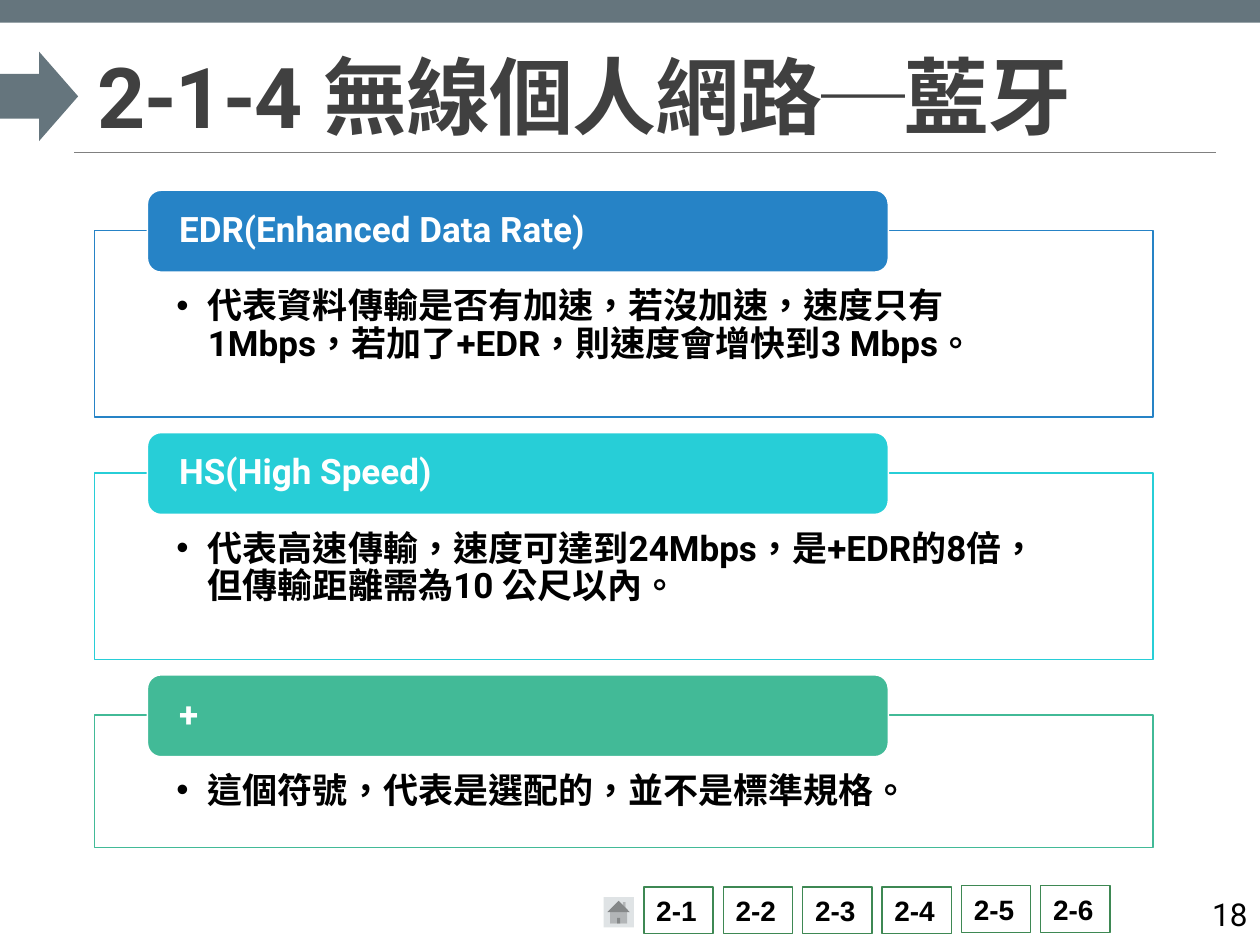
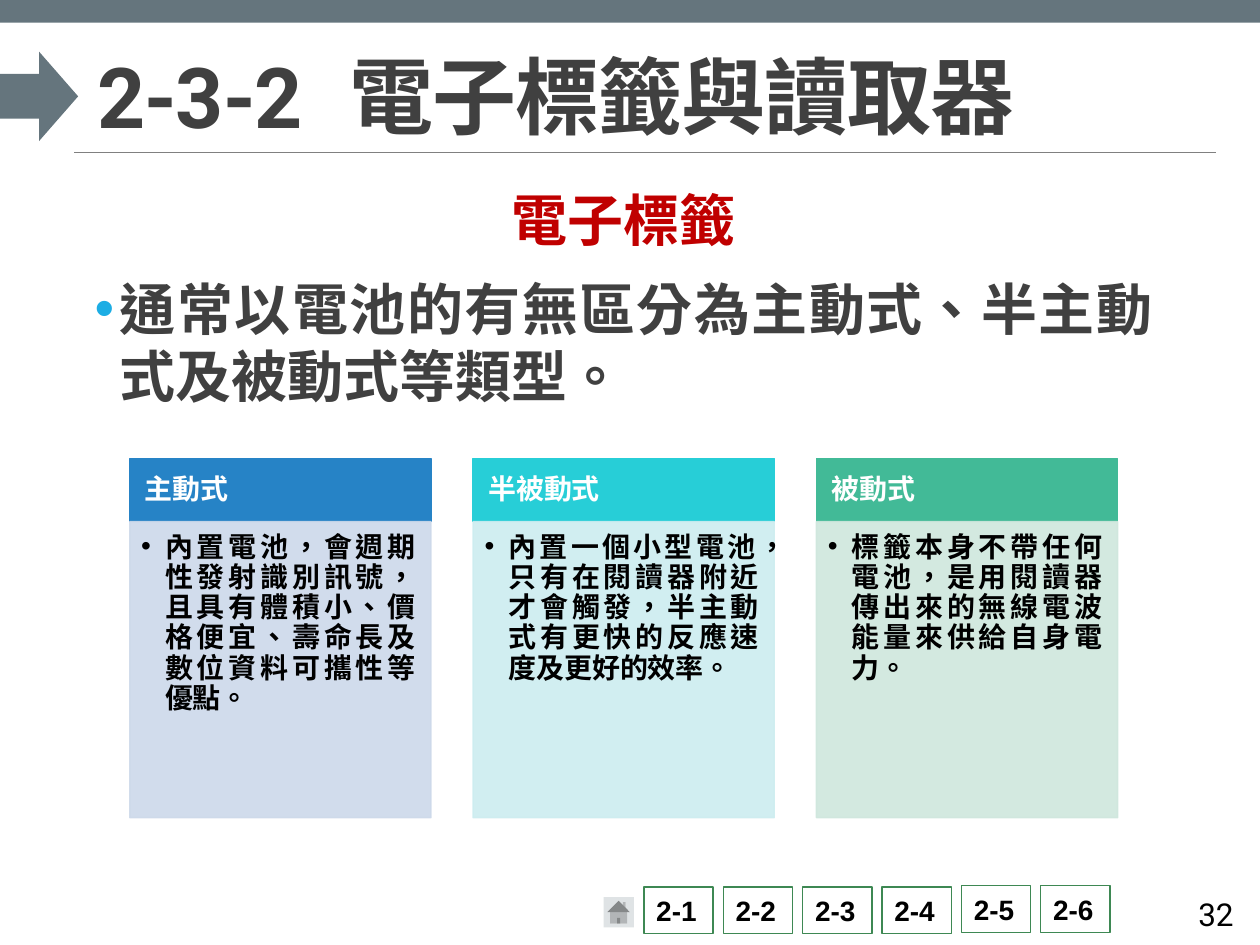
from dataclasses import dataclass, replace
from typing import Optional

from lxml import etree
from pptx import Presentation
from pptx import util as u
from pptx.dml.color import RGBColor
from pptx.enum import shapes, text
from pptx.oxml import ns

SLIDE_W, SLIDE_H = u.Inches(10), u.Inches(7.5)
COL, ROW = SLIDE_W / 100, SLIDE_H / 75

SLATE = RGBColor(0x65, 0x75, 0x7D)
RULE_GRAY = RGBColor(0x80, 0x80, 0x80)
NAV_GREEN = RGBColor(0x3E, 0x88, 0x53)
HOME_GRAY = RGBColor(0xDF, 0xE3, 0xE5)
INK = RGBColor(0x40, 0x40, 0x40)
BLACK = RGBColor(0, 0, 0)
WHITE = RGBColor(0xFF, 0xFF, 0xFF)
RED = RGBColor(0xC0, 0, 0)
SKY = RGBColor(0x1C, 0xAD, 0xE4)
BLUE = RGBColor(0x26, 0x83, 0xC6)
CYAN = RGBColor(0x27, 0xCE, 0xD7)
GREEN = RGBColor(0x42, 0xBA, 0x97)
PALE_BLUE = RGBColor(0xCD, 0xD9, 0xEA)
PALE_CYAN = RGBColor(0xCD, 0xED, 0xF0)
PALE_GREEN = RGBColor(0xCF, 0xE7, 0xDD)

LEFT, CENTER = text.PP_ALIGN.LEFT, text.PP_ALIGN.CENTER
RIGHT, JUSTIFY = text.PP_ALIGN.RIGHT, text.PP_ALIGN.JUSTIFY
TOP, MIDDLE = text.MSO_ANCHOR.TOP, text.MSO_ANCHOR.MIDDLE
BOTTOM = text.MSO_ANCHOR.BOTTOM
RECT = shapes.MSO_SHAPE.RECTANGLE
ROUND_RECT = shapes.MSO_SHAPE.ROUNDED_RECTANGLE


@dataclass(frozen=True)
class Box:
    col: float
    row: float
    cols: float
    rows: float

    def emu(self) -> tuple[int, int, int, int]:
        return (round(self.col * COL), round(self.row * ROW),
                round(self.cols * COL), round(self.rows * ROW))


@dataclass(frozen=True)
class Style:
    size: float
    color: RGBColor = BLACK
    bold: bool = True
    font: str = "Roboto"
    align: text.PP_ALIGN = LEFT
    line: float = 1
    before: float = 0
    after: float = 0
    tracking: int = 0
    hang: float = 0
    bullet_color: Optional[RGBColor] = None


@dataclass(frozen=True)
class Frame:
    anchor: text.MSO_ANCHOR = TOP
    insets: tuple[float, float, float, float] = (1, 0.5, 1, 0.5)


@dataclass(frozen=True)
class Topic:
    heading: str
    detail: str
    color: RGBColor
    tint: RGBColor = WHITE
    rows: float = 14.8


TITLE = Style(48, INK, line=0.85, tracking=-50)
NAV = Style(16, font="Arial")
PAGE = Style(18, bold=False, align=RIGHT)
SUBTITLE = Style(32, RED, align=CENTER, after=0.6)
LEAD = Style(32, INK, align=JUSTIFY, before=12, after=0.6, hang=2, bullet_color=SKY)
BAND_HEAD = Style(20, WHITE, line=0.9)
BAND_ITEM = Style(20, line=0.9, hang=2.5, bullet_color=BLACK)
CARD_HEAD = Style(16, WHITE, align=JUSTIFY, line=0.9)
CARD_ITEM = replace(BAND_ITEM, size=16, align=JUSTIFY, hang=1.9)

TERMS = [
    Topic("EDR(Enhanced Data Rate)",
          "代表資料傳輸是否有加速，若沒加速，速度只有1Mbps，若加了+EDR，則速度會增快到3 Mbps。", BLUE),
    Topic("HS(High Speed)",
          "代表高速傳輸，速度可達到24Mbps，是+EDR的8倍，但傳輸距離需為10 公尺以內。", CYAN),
    Topic("+", "這個符號，代表是選配的，並不是標準規格。", GREEN, rows=10.5),
]
TAG_TYPES = [
    Topic("主動式", "內置電池，會週期性發射識別訊號，且具有體積小、價格便宜、壽命長及數位資料可攜性等優點。",
          BLUE, PALE_BLUE),
    Topic("半被動式", "內置一個小型電池，只有在閱讀器附近才會觸發，半主動式有更快的反應速度及更好的效率。",
          CYAN, PALE_CYAN),
    Topic("被動式", "標籤本身不帶任何電池，是用閱讀器傳出來的無線電波能量來供給自身電力。",
          GREEN, PALE_GREEN),
]


def format_bullet(p, style: Style) -> None:
    pPr = p._p.get_or_add_pPr()
    hang = round(style.hang * COL)
    pPr.set("marL", str(hang))
    pPr.set("indent", str(-hang))
    if style.bullet_color is None:
        etree.SubElement(pPr, ns.qn("a:buNone"))
        return
    color = etree.SubElement(pPr, ns.qn("a:buClr"))
    etree.SubElement(color, ns.qn("a:srgbClr"), val=str(style.bullet_color))
    etree.SubElement(pPr, ns.qn("a:buFont"), typeface="Arial")
    etree.SubElement(pPr, ns.qn("a:buChar"), char="•")


def write(p, words: str, style: Style) -> None:
    p.text = words
    format_bullet(p, style)
    p.alignment = style.align
    p.line_spacing = style.line
    p.space_before, p.space_after = u.Pt(style.before), u.Pt(style.after)
    for r in p.runs:
        r.font.name, r.font.size, r.font.bold = style.font, u.Pt(style.size), style.bold
        r.font.color.rgb = style.color
        rPr = r._r.get_or_add_rPr()
        rPr.set("lang", "zh-TW")
        rPr.set("spc", str(style.tracking))
        latin = rPr.find(ns.qn("a:latin"))
        latin.addnext(etree.Element(ns.qn("a:ea"), typeface=style.font))


def fill_frame(sp, lines: list[tuple[str, Style]], frame: Frame = Frame()) -> None:
    tf = sp.text_frame
    tf.word_wrap, tf.auto_size = True, text.MSO_AUTO_SIZE.NONE
    tf.vertical_anchor = frame.anchor
    left, top, right, bottom = frame.insets
    tf.margin_left, tf.margin_right = round(left * COL), round(right * COL)
    tf.margin_top, tf.margin_bottom = round(top * ROW), round(bottom * ROW)
    for i, (words, style) in enumerate(lines):
        write(tf.add_paragraph() if i else tf.paragraphs[0], words, style)


def place(sp, box: Box) -> None:
    sp.left, sp.top, sp.width, sp.height = box.emu()


def add_block(s, kind, box: Box, fill: RGBColor, line: Optional[RGBColor] = None):
    sp = s.shapes.add_shape(kind, *box.emu())
    sp.shadow.inherit = False
    sp.fill.solid()
    sp.fill.fore_color.rgb = fill
    if line is None:
        sp.line.fill.background()
    else:
        sp.line.color.rgb = line
        sp.line.width = u.Pt(0.85)
    return sp


def add_rule(s) -> None:
    x1, y, width, _ = Box(5.9, 12.1, 90.6, 0).emu()
    rule = s.shapes.add_connector(shapes.MSO_CONNECTOR.STRAIGHT, x1, y, x1 + width, y)
    rule.line.color.rgb = RULE_GRAY
    rule.line.width = u.Pt(0.5)
    etree.SubElement(rule._element.spPr, ns.qn("a:effectLst"))


def add_navigation(s) -> None:
    add_block(s, shapes.MSO_SHAPE.ACTION_BUTTON_HOME, Box(47.9, 71.2, 2.4, 2.4), HOME_GRAY)
    for i in range(6):
        row = 70.4 if i < 4 else 70.3
        sp = add_block(s, RECT, Box(51.1 + 6.3 * i, row, 5.5, 3.7), WHITE, NAV_GREEN)
        fill_frame(sp, [(f"2-{i + 1}", NAV)], Frame(MIDDLE))


def add_base(prs, layout: int, title: str, page: int, page_col: float):
    s = prs.slides.add_slide(prs.slide_layouts[layout])
    add_rule(s)
    add_block(s, RECT, Box(0, 0, 100, 1.8), SLATE)
    add_block(s, shapes.MSO_SHAPE.RIGHT_ARROW, Box(0, 4.1, 6.2, 7.1), SLATE)
    add_navigation(s)
    place(s.shapes.title, Box(6.7, 3.1, 89.8, 9))
    fill_frame(s.shapes.title, [(title, TITLE)], Frame(BOTTOM))
    number = s.shapes.add_textbox(*Box(page_col, 70.5, 10.8, 4).emu())
    fill_frame(number, [(str(page), PAGE)], Frame(MIDDLE))
    return s


def add_term(s, row: float, topic: Topic) -> None:
    panel = add_block(s, RECT, Box(7.5, row, 84, topic.rows), WHITE, topic.color)
    fill_frame(panel, [(topic.detail, BAND_ITEM)], Frame(TOP, (6.5, 4.6, 6.5, 1.6)))
    label = add_block(s, ROUND_RECT, Box(11.7, row - 3.2, 58.8, 6.5), topic.color, WHITE)
    fill_frame(label, [(topic.heading, BAND_HEAD)], Frame(MIDDLE, (2.2, 0, 2.2, 0)))


def add_tag_card(s, col: float, topic: Topic) -> None:
    head = add_block(s, RECT, Box(col, 36.4, 23.9, 5), topic.color, topic.color)
    fill_frame(head, [(topic.heading, CARD_HEAD)], Frame(MIDDLE, (1.2, 0.7, 1.2, 0.7)))
    panel = add_block(s, RECT, Box(col, 41.4, 23.9, 23.5), topic.tint, topic.tint)
    for color in panel._element.spPr.iter(ns.qn("a:srgbClr")):
        etree.SubElement(color, ns.qn("a:alpha"), val="90000")
    fill_frame(panel, [(topic.detail, CARD_ITEM)], Frame(TOP, (0.9, 0.9, 1.2, 1.4)))


def build_bluetooth(prs) -> None:
    s = add_base(prs, 5, "2-1-4 無線個人網路─藍牙", 18, 89.2)
    for i, topic in enumerate(TERMS):
        add_term(s, 18.3 + 19.23 * i, topic)


def build_tags(prs) -> None:
    s = add_base(prs, 1, "2-3-2\t電子標籤與讀取器", 32, 88.1)
    body = s.placeholders[1]
    place(body, Box(7.5, 14.2, 84, 54.1))
    fill_frame(body, [("電子標籤", SUBTITLE),
                      ("通常以電池的有無區分為主動式、半主動式及被動式等類型。", LEAD)],
               Frame(TOP, (0, 0.5, 0, 0.5)))
    for i, topic in enumerate(TAG_TYPES):
        add_tag_card(s, 10.3 + 27.25 * i, topic)


def main() -> None:
    prs = Presentation()
    prs.slide_width, prs.slide_height = SLIDE_W, SLIDE_H
    build_bluetooth(prs)
    build_tags(prs)
    prs.save("out.pptx")


if __name__ == "__main__":
    main()
